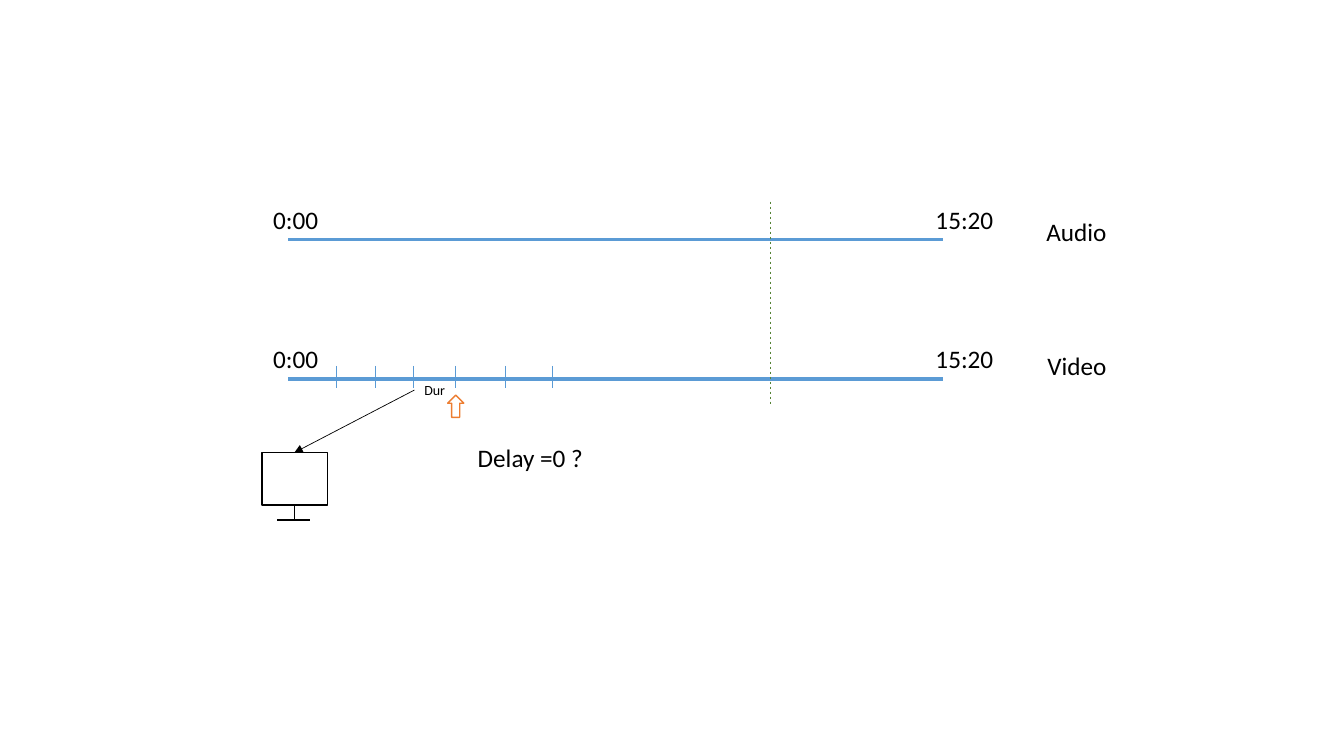
from lxml.etree import SubElement
from pptx import Presentation
from pptx.dml.color import RGBColor
from pptx.enum.dml import MSO_LINE
from pptx.enum.shapes import MSO_CONNECTOR, MSO_SHAPE
from pptx.enum.text import MSO_AUTO_SIZE
from pptx.oxml.ns import qn
from pptx.util import Inches, Pt

COLORS = {
    "timeline": "5B9BD5",
    "ink": "000000",
    "paper": "FFFFFF",
    "marker": "ED7D31",
    "sync": "548235",
}
TRACKS = [("Audio", 2.38, 10.28, 2.1), ("Video", 3.76, 10.29, 3.43)]
TRACK_START, TRACK_END = 2.86, 9.35
FRAME_TICKS = [3.34, 3.72, 4.1, 4.52, 5.01, 5.48]


def color(name):
    """Return the named colour."""
    return RGBColor.from_string(COLORS[name])


def add_line(slide, start, end, color_name, width, dashed=False, arrow=False):
    """Draw a straight line between two points given in inches."""
    points = [Inches(value) for value in (*start, *end)]
    connector = slide.shapes.add_connector(MSO_CONNECTOR.STRAIGHT, *points)
    connector.line.color.rgb = color(color_name)
    connector.line.width = Pt(width)
    if dashed:
        connector.line.dash_style = MSO_LINE.DASH
    if arrow:
        line_xml = connector.line._get_or_add_ln()
        SubElement(line_xml, qn("a:tailEnd"), type="triangle")
    SubElement(connector._element.spPr, qn("a:effectLst"))


def add_label(slide, text, left, top, width, height=0.4, size=18):
    """Add a one-line label."""
    box = slide.shapes.add_textbox(*map(Inches, (left, top, width, height)))
    frame = box.text_frame
    frame.word_wrap = False
    frame.auto_size = MSO_AUTO_SIZE.SHAPE_TO_FIT_TEXT
    frame.text = text
    font = frame.paragraphs[0].font
    font.name = "Calibri"
    font.size = Pt(size)
    font.color.rgb = color("ink")


def add_outlined_shape(slide, kind, left, top, width, height, line_color):
    """Add a white preset shape with a thin outline."""
    shape = slide.shapes.add_shape(kind, *map(Inches, (left, top, width, height)))
    shape.shadow.inherit = False
    shape.fill.solid()
    shape.fill.fore_color.rgb = color("paper")
    shape.line.color.rgb = color(line_color)
    shape.line.width = Pt(1)
    return shape


def add_track(slide, name, y, name_left, name_top):
    """Draw a timeline with its start time, end time and name."""
    add_line(slide, (TRACK_START, y), (TRACK_END, y), "timeline", 2.25)
    add_label(slide, "0:00", 2.61, y - 0.4, 0.65)
    add_label(slide, "15:20", 9.18, y - 0.4, 0.78)
    add_label(slide, name, name_left, name_top, 0.8)


def add_monitor(slide):
    """Draw the screen with its stand and foot."""
    add_outlined_shape(slide, MSO_SHAPE.RECTANGLE, 2.6, 4.49, 0.65, 0.52, "ink")
    add_line(slide, (2.92, 5), (2.92, 5.16), "ink", 1)
    add_line(slide, (2.75, 5.16), (3.07, 5.16), "ink", 1)


def main():
    """Build the audio and video timing slide."""
    presentation = Presentation()
    presentation.slide_width = Inches(13.33)
    presentation.slide_height = Inches(7.5)
    slide = presentation.slides.add_slide(presentation.slide_layouts[6])

    for track in TRACKS:
        add_track(slide, *track)
    for x in FRAME_TICKS:
        add_line(slide, (x, 3.63), (x, 3.85), "timeline", 0.5)

    add_monitor(slide)
    add_line(slide, (4.11, 3.87), (2.92, 4.49), "ink", 0.5, arrow=True)
    marker = add_outlined_shape(
        slide, MSO_SHAPE.RIGHT_ARROW, 4.41, 3.95, 0.22, 0.16, "marker")
    marker.rotation = 270
    add_line(slide, (7.64, 2), (7.64, 4.01), "sync", 0.5, dashed=True)
    add_label(slide, "Dur", 4.11, 3.74, 0.41, 0.27, size=10)
    add_label(slide, "Delay =0 ?", 4.64, 4.34, 1.26)

    presentation.save("out.pptx")


main()
